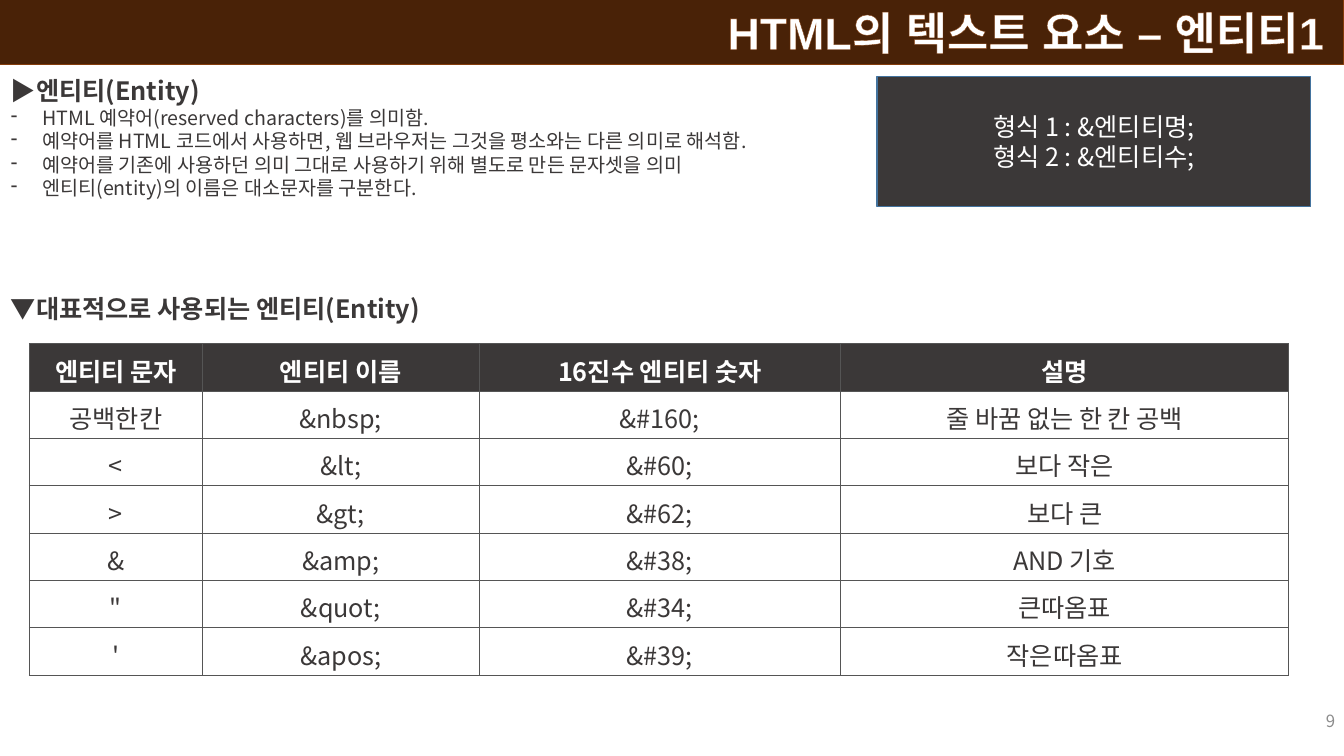
"""Build the slide on HTML text entities."""
from lxml.etree import SubElement
from pptx import Presentation
from pptx.dml.color import RGBColor
from pptx.enum.shapes import MSO_SHAPE
from pptx.enum.text import MSO_ANCHOR, MSO_AUTO_SIZE, PP_ALIGN
from pptx.oxml import parse_xml
from pptx.oxml.ns import nsdecls, qn
from pptx.util import Inches, Pt

TITLE = "HTML의 텍스트 요소 – 엔티티1"
HEAD = "▶엔티티(Entity)"
POINTS = [
    "HTML 예약어(reserved characters)를 의미함.",
    "예약어를 HTML 코드에서 사용하면, 웹 브라우저는 그것을 평소와는 다른 의미로 해석함.",
    "예약어를 기존에 사용하던 의미 그대로 사용하기 위해 별도로 만든 문자셋을 의미",
    "엔티티(entity)의 이름은 대소문자를 구분한다.",
]
LOWER = "▼대표적으로 사용되는 엔티티(Entity)"
FORMS = ["형식 1 : &엔티티명;", "형식 2 : &엔티티수;"]
ROWS = [
    ("엔티티 문자", "엔티티 이름", "16진수 엔티티 숫자", "설명"),
    ("공백한칸", "&nbsp;", "&#160;", "줄 바꿈 없는 한 칸 공백"),
    ("<", "&lt;", "&#60;", "보다 작은"),
    (">", "&gt;", "&#62;", "보다 큰"),
    ("&", "&amp;", "&#38;", "AND 기호"),
    ('"', "&quot;", "&#34;", "큰따옴표"),
    ("'", "&apos;", "&#39;", "작은따옴표"),
]
WIDTHS = [1.72, 2.74, 3.59, 4.44]
ROW_H = 0.47
PAGE = "9"
COLORS = {
    "brown": "492207", "rust": "843C0B", "dark": "3B3838", "blue": "43739E",
    "white": "FFFFFF", "gray": "8C8C8C", "rule": "555555",
}
SANS = "Noto Sans CJK KR"


def tint(name):
    return RGBColor.from_string(COLORS[name])


def stroke(tag, name, width):
    return parse_xml(
        f'<a:{tag} {nsdecls("a")} w="{Pt(width)}"><a:solidFill>'
        f'<a:srgbClr val="{COLORS[name]}"/></a:solidFill></a:{tag}>')


def write(frame, text, size=18, color="dark", bold=False, font=SANS,
          align=PP_ALIGN.LEFT, before=0, bullet=False, edge=None):
    para = frame.paragraphs[0]
    if para.runs:
        para = frame.add_paragraph()
    para.alignment = align
    para.space_before = Pt(before)
    if bullet:
        props = para._p.get_or_add_pPr()
        props.set("marL", str(Inches(0.31)))
        props.set("indent", str(-Inches(0.31)))
        SubElement(props, qn("a:buChar"), char="-")
    run = para.add_run()
    run.text = text
    face = run.font
    face.size, face.bold, face.name = Pt(size), bold, font
    face.color.rgb = tint(color)
    props = run._r.get_or_add_rPr()
    SubElement(props, qn("a:ea"), typeface=font)
    if edge:
        props.insert(0, stroke("ln", edge, 0.75))


def add_box(slide, place, fill, line, width, anchor):
    box = slide.shapes.add_shape(MSO_SHAPE.RECTANGLE, *map(Inches, place))
    box.shadow.inherit = False
    box.fill.solid()
    box.fill.fore_color.rgb = tint(fill)
    box.line.color.rgb = tint(line)
    box.line.width = Pt(width)
    box.text_frame.vertical_anchor = anchor
    return box.text_frame


def add_text(slide, place, anchor=MSO_ANCHOR.TOP):
    frame = slide.shapes.add_textbox(*map(Inches, place)).text_frame
    frame.word_wrap = True
    frame.vertical_anchor = anchor
    return frame


def add_grid(slide):
    place = (0.29, 3.41, sum(WIDTHS), ROW_H * len(ROWS))
    grid = slide.shapes.add_table(
        len(ROWS), len(WIDTHS), *map(Inches, place)).table
    grid.first_row = grid.horz_banding = False
    for col, width in zip(grid.columns, WIDTHS):
        col.width = Inches(width)
    for i, row in enumerate(ROWS):
        grid.rows[i].height = Inches(ROW_H)
        for j, text in enumerate(row):
            cell = grid.cell(i, j)
            cell.vertical_anchor = MSO_ANCHOR.MIDDLE
            cell.margin_left = cell.margin_right = Inches(0.08)
            cell.margin_top = cell.margin_bottom = Inches(0.08)
            if i == 0:
                cell.fill.solid()
                cell.fill.fore_color.rgb = tint("dark")
            else:
                cell.fill.background()
            props = cell._tc.get_or_add_tcPr()
            for k, side in enumerate("LRTB"):
                props.insert(k, stroke("ln" + side, "rule", 0.6))
            write(cell.text_frame, text, bold=i == 0, align=PP_ALIGN.CENTER,
                  color="dark" if i else "white")


def main():
    deck = Presentation()
    deck.slide_width, deck.slide_height = Inches(13.33), Inches(7.5)
    slide = deck.slides.add_slide(deck.slide_layouts[6])

    title = add_box(slide, (0, 0, 13.33, 0.64), "brown", "rust", 0.75,
                    MSO_ANCHOR.TOP)
    title.margin_right = Inches(0.2)
    title.auto_size = MSO_AUTO_SIZE.SHAPE_TO_FIT_TEXT
    write(title, TITLE, size=32, color="white", bold=True, font="Arial",
          align=PP_ALIGN.RIGHT, edge="rust")

    page = add_text(slide, (10.34, 6.95, 3, 0.4), MSO_ANCHOR.MIDDLE)
    write(page, PAGE, size=12, color="gray", align=PP_ALIGN.RIGHT)

    body = add_text(slide, (0.01, 0.7, 8.25, 2.59))
    write(body, HEAD, bold=True)
    for point in POINTS:
        write(body, point, size=14, bullet=True)
    write(body, LOWER, bold=True, before=67)

    forms = add_box(slide, (8.7, 0.76, 4.3, 1.29), "dark", "blue", 1,
                    MSO_ANCHOR.MIDDLE)
    for form in FORMS:
        write(forms, form, color="white", align=PP_ALIGN.CENTER)

    add_grid(slide)
    deck.save("out.pptx")


if __name__ == "__main__":
    main()
